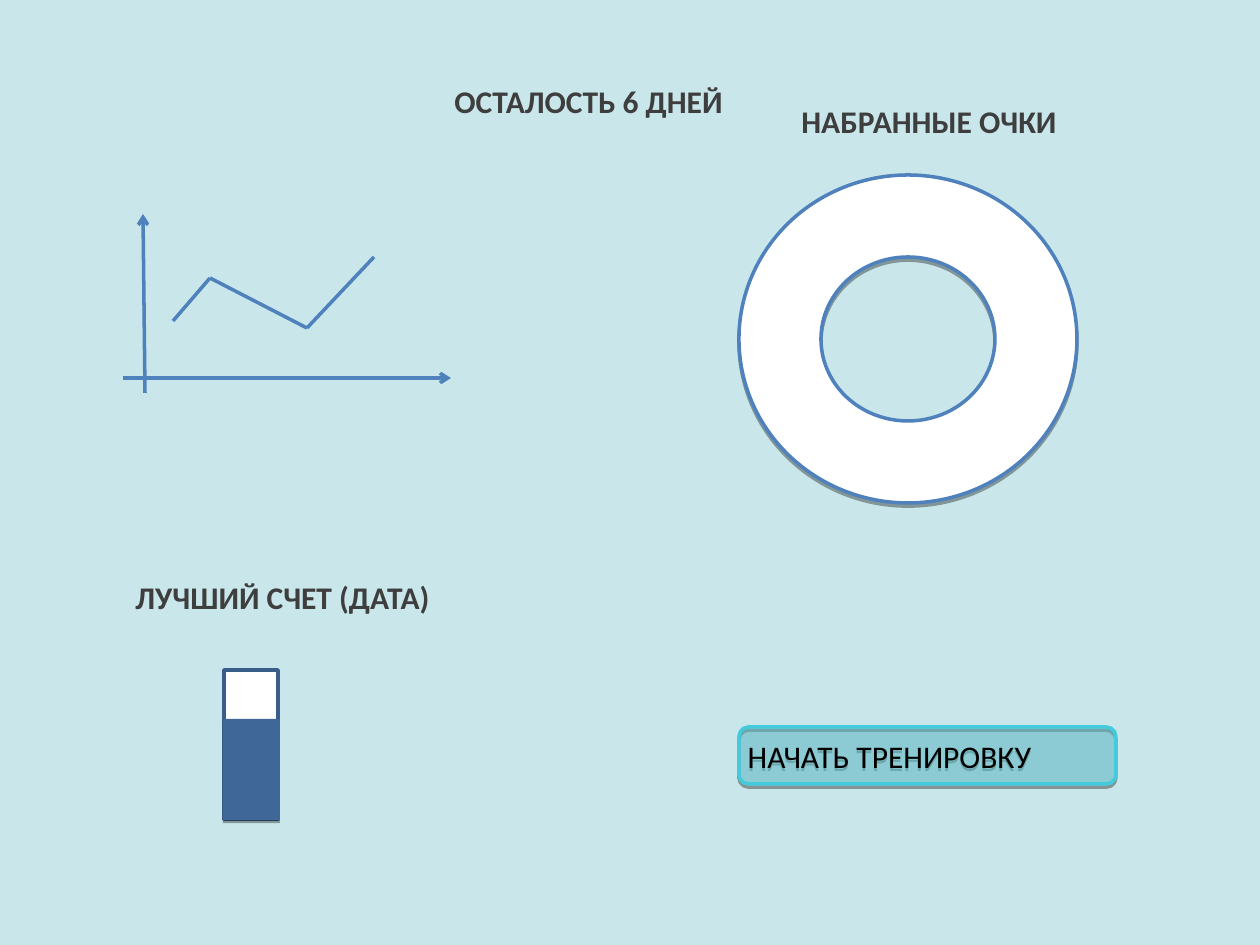
import dataclasses
import itertools

import lxml.etree
import pptx
import pptx.dml.color
import pptx.enum.shapes
import pptx.enum.text
import pptx.oxml.ns
import pptx.util

EMU_PER_PX = 914400 / 126
SHAPES = pptx.enum.shapes.MSO_SHAPE
qn = pptx.oxml.ns.qn


@dataclasses.dataclass(frozen=True)
class Theme:
    background: str = "C9E7EB"
    white: str = "FFFFFF"
    blue: str = "4F81BD"
    bar_outline: str = "3A5E8A"
    bar_fill: str = "3F6797"
    turquoise: str = "43CBDD"
    heading: str = "3E3E3E"
    label: str = "000000"
    shadow: str = "000000"
    font: str = "Calibri"
    text_size: int = 18
    line_width: int = 2


THEME = Theme()


def px(length):
    return round(length * EMU_PER_PX)


def rgb(color):
    return pptx.dml.color.RGBColor.from_string(color)


def set_attributes(target, values):
    for name, value in values.items():
        setattr(target, name, value)


def set_alpha(color_element, percent):
    alpha = lxml.etree.SubElement(color_element, qn("a:alpha"))
    alpha.set("val", str(percent * 1000))


def style_line(line, color):
    line.color.rgb = rgb(color)
    line.width = pptx.util.Pt(THEME.line_width)


def add_shadow(shape):
    """Cast a hard 35 % shadow straight down."""
    effects = shape._element.spPr.find(qn("a:effectLst"))
    shadow = lxml.etree.SubElement(effects, qn("a:outerShdw"))
    offset = {"blurRad": 0, "dist": pptx.util.Pt(1.8), "dir": 5400000, "rotWithShape": 0}
    for name, value in offset.items():
        shadow.set(name, str(value))
    color = lxml.etree.SubElement(shadow, qn("a:srgbClr"), val=THEME.shadow)
    set_alpha(color, 35)


def add_filled(shapes, preset, box, fill, outline=None, shadow=False):
    shape = shapes.add_shape(preset, *map(px, box))
    shape.fill.solid()
    shape.fill.fore_color.rgb = rgb(fill)
    if outline:
        style_line(shape.line, outline)
    else:
        shape.line.fill.background()
    shape.shadow.inherit = False
    if shadow:
        add_shadow(shape)
    return shape


def add_stroke(shapes, start, end, arrow=False):
    stroke = shapes.add_connector(
        pptx.enum.shapes.MSO_CONNECTOR.STRAIGHT, *map(px, (*start, *end)))
    style_line(stroke.line, THEME.blue)
    properties = stroke._element.spPr
    if arrow:
        outline = properties.find(qn("a:ln"))
        lxml.etree.SubElement(outline, qn("a:tailEnd"), type="arrow")
    lxml.etree.SubElement(properties, qn("a:effectLst"))


def write(frame, text, color, bold=False):
    paragraph = frame.paragraphs[0]
    paragraph.alignment = pptx.enum.text.PP_ALIGN.LEFT
    run = paragraph.add_run()
    run.text = text
    set_attributes(run.font, {
        "name": THEME.font, "size": pptx.util.Pt(THEME.text_size), "bold": bold})
    run.font.color.rgb = rgb(color)


def add_heading(slide, box, text):
    frame = slide.shapes.add_textbox(*map(px, box)).text_frame
    set_attributes(frame, {
        "word_wrap": False,
        "auto_size": pptx.enum.text.MSO_AUTO_SIZE.SHAPE_TO_FIT_TEXT})
    write(frame, text, THEME.heading, bold=True)


def add_points_ring(slide, box):
    ring = add_filled(slide.shapes, SHAPES.DONUT, box, THEME.white, THEME.blue, shadow=True)
    ring.adjustments[0] = 0.25


def add_score_bar(slide, box):
    left, top, width, height = box
    level = 101
    shapes = slide.shapes.add_group_shape().shapes
    add_filled(shapes, SHAPES.RECTANGLE, (left + 1, top, width - 3, height - 1),
               THEME.white, THEME.bar_outline)
    add_filled(shapes, SHAPES.RECTANGLE, (left, top + height - level, width, level),
               THEME.bar_fill, shadow=True)


def add_progress_sketch(slide, box):
    """Draw two arrowed axes and a broken line between them."""
    left, top, width, height = box
    shapes = slide.shapes.add_group_shape().shapes
    baseline = top + height - 15
    add_stroke(shapes, (left, baseline), (left + width, baseline), arrow=True)
    add_stroke(shapes, (left + 22, top + height), (left + 20, top), arrow=True)
    progress = [(left + x, top + y) for x, y in ((50, 107), (87, 64), (184, 114), (251, 43))]
    for start, end in itertools.pairwise(progress):
        add_stroke(shapes, start, end)


def add_button(slide, box, text):
    button = add_filled(slide.shapes, SHAPES.ROUNDED_RECTANGLE, box,
                        THEME.turquoise, THEME.turquoise, shadow=True)
    button.adjustments[0] = 0.167
    fill = button._element.spPr.find(qn("a:solidFill"))
    set_alpha(fill.find(qn("a:srgbClr")), 33)
    frame = button.text_frame
    sides = ("left", "top", "right", "bottom")
    set_attributes(frame, {f"margin_{side}": px(6) for side in sides})
    set_attributes(frame, {
        "word_wrap": True,
        "vertical_anchor": pptx.enum.text.MSO_ANCHOR.MIDDLE})
    write(frame, text, THEME.label)


def main():
    deck = pptx.Presentation()
    set_attributes(deck, {"slide_width": px(1260), "slide_height": px(945)})
    slide = deck.slides.add_slide(deck.slide_layouts[6])
    slide.background.fill.solid()
    slide.background.fill.fore_color.rgb = rgb(THEME.background)

    add_points_ring(slide, (739, 175, 338, 328))
    add_heading(slide, (789, 96, 282, 50), "НАБРАННЫЕ ОЧКИ")
    add_heading(slide, (123, 572, 324, 50), "ЛУЧШИЙ СЧЕТ (ДАТА)")
    add_heading(slide, (442, 76, 296, 50), "ОСТАЛОСТЬ 6 ДНЕЙ")
    add_score_bar(slide, (223, 670, 57, 150))
    add_progress_sketch(slide, (123, 214, 328, 179))
    add_button(slide, (739, 727, 377, 57), "НАЧАТЬ ТРЕНИРОВКУ")
    deck.save("out.pptx")


if __name__ == "__main__":
    main()
